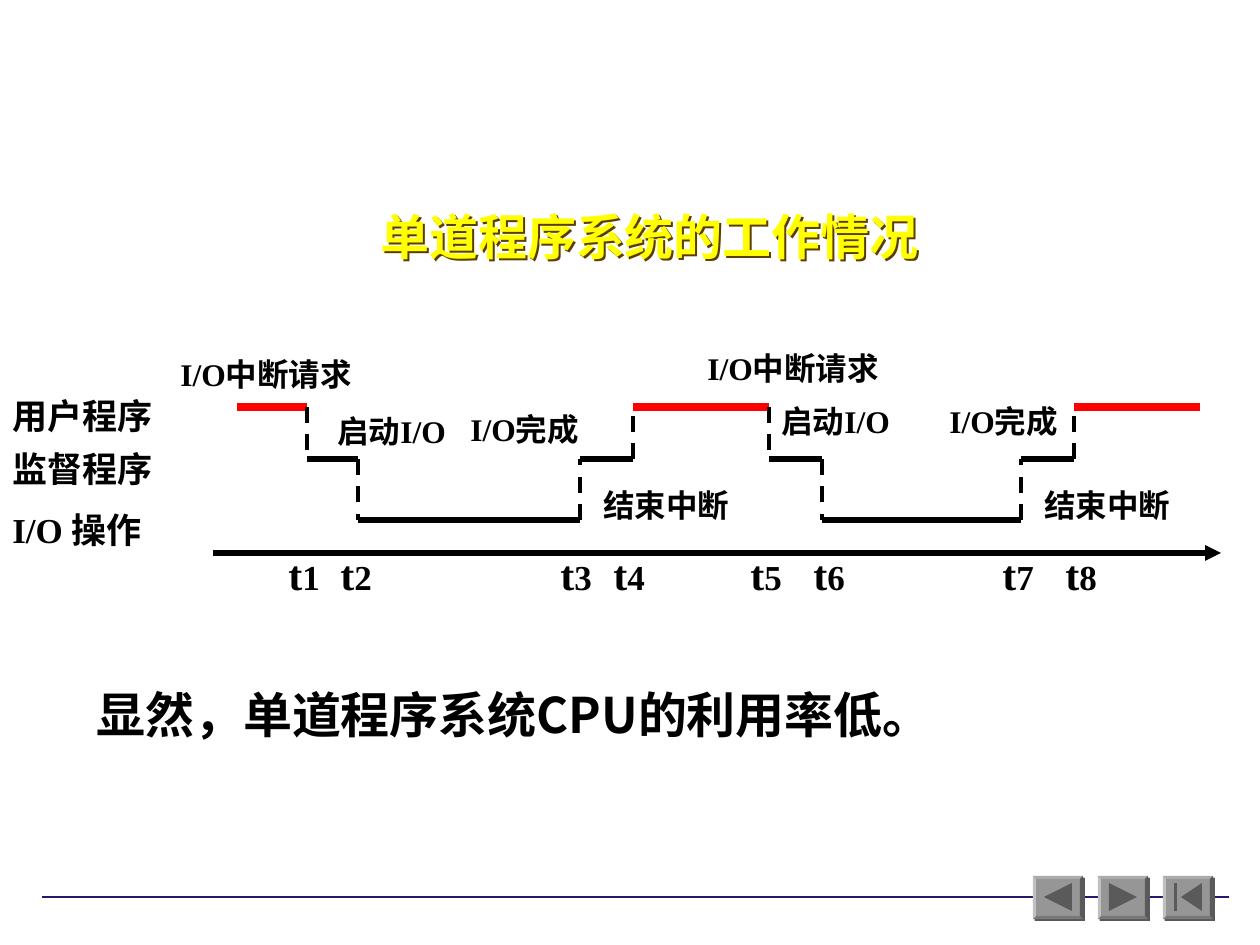
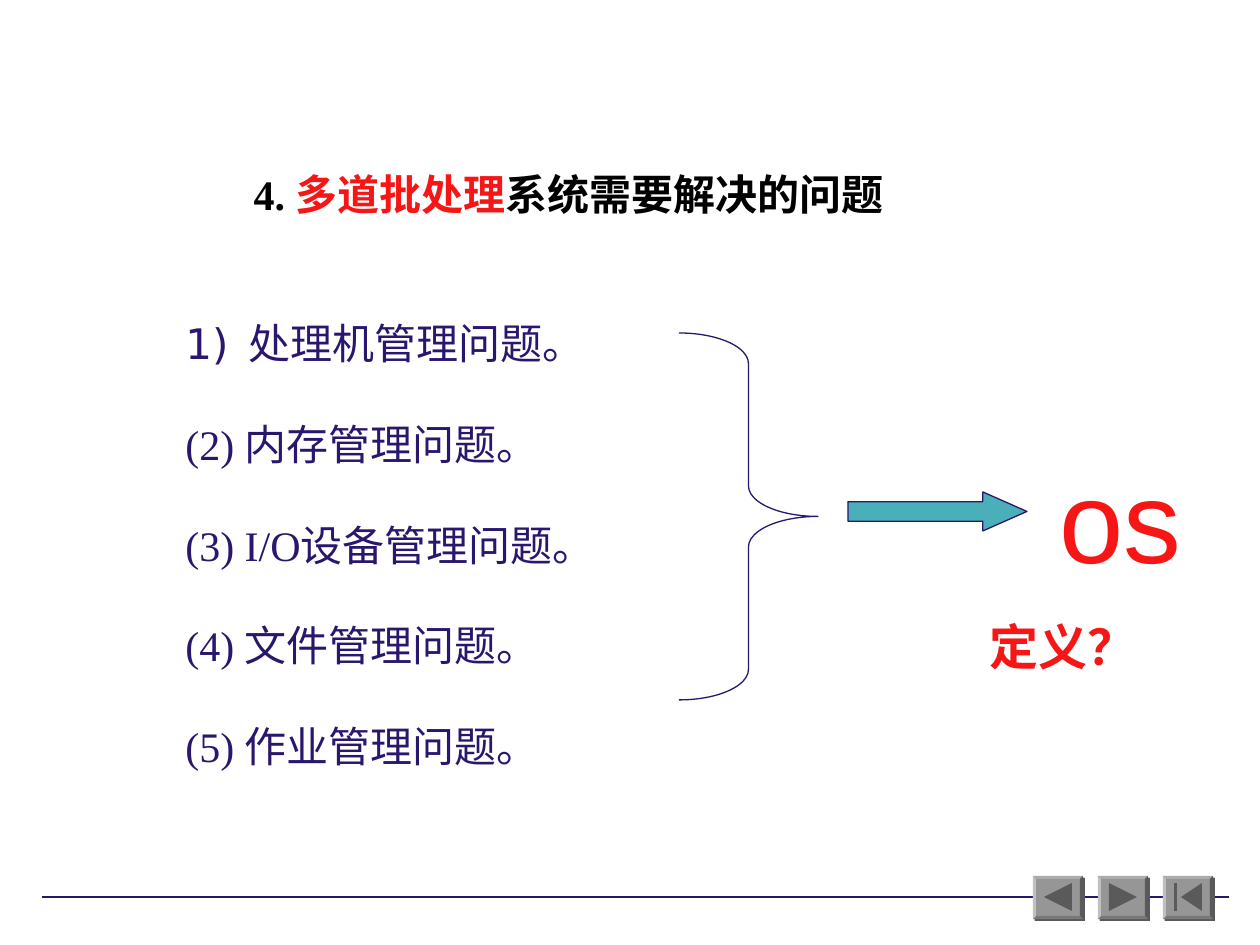
from itertools import pairwise

from lxml.etree import SubElement
from pptx import Presentation
from pptx.dml.color import RGBColor
from pptx.enum.dml import MSO_LINE
from pptx.enum.shapes import MSO_CONNECTOR, MSO_SHAPE
from pptx.enum.text import MSO_ANCHOR, MSO_AUTO_SIZE, PP_ALIGN
from pptx.oxml.ns import qn
from pptx.util import Pt

SCALE = 914400 / 126
BLACK = RGBColor(0x00, 0x00, 0x00)
RED = RGBColor(0xFF, 0x00, 0x00)
SCARLET = RGBColor(0xF6, 0x16, 0x16)
YELLOW = RGBColor(0xFF, 0xFF, 0x00)
BROWN = RGBColor(0x5C, 0x3D, 0x00)
NAVY = RGBColor(0x2B, 0x16, 0x6E)
TEAL = RGBColor(0x4B, 0xAF, 0xB9)
FACE = RGBColor(0x96, 0x96, 0x96)
SHADE = RGBColor(0x59, 0x59, 0x59)
SERIF = "Times New Roman"
SANS = "DejaVu Sans"
CJK = "Noto Sans CJK SC"


def px(size):
    """Turn pixels into EMU."""
    return round(size * SCALE)


def style(font, size, color, bold=True, name=SERIF):
    """Apply one set of format values to a font."""
    for key, value in {"size": Pt(size), "bold": bold, "name": name}.items():
        setattr(font, key, value)
    font.color.rgb = color


def write(frame, rows, size, color=BLACK, bold=True, name=SERIF, align=PP_ALIGN.LEFT):
    """Fill a frame with rows of (text, changes) runs."""
    values = {
        "word_wrap": True, "auto_size": MSO_AUTO_SIZE.NONE, "vertical_anchor": MSO_ANCHOR.TOP,
        "margin_left": Pt(7.2), "margin_right": Pt(7.2), "margin_top": Pt(3.6), "margin_bottom": Pt(3.6),
    }
    for key, value in values.items():
        setattr(frame, key, value)
    for i, row in enumerate(rows):
        para = frame.add_paragraph() if i else frame.paragraphs[0]
        para.alignment = align
        para.space_before = Pt(0)
        for text, change in row:
            run = para.add_run()
            run.text = text
            style(run.font, **({"size": size, "color": color, "bold": bold, "name": name} | change))
            SubElement(run.font._element, qn("a:ea"), typeface=SANS)
    return frame


def label(slide, box, rows, size, **more):
    """Add a text box."""
    if isinstance(rows, str):
        rows = [[(rows, {})]]
    return write(slide.shapes.add_textbox(*map(px, box)).text_frame, rows, size, **more)


def head(slide, box, row, size, **more):
    """Place and fill the title."""
    title = slide.shapes.title
    for key, value in zip(("left", "top", "width", "height"), box):
        setattr(title, key, px(value))
    write(title.text_frame, [row], size, **more)
    return title


def cast(shape, color, dist):
    """Give a shape a hard shadow to the lower right."""
    shape.shadow.inherit = False
    glow = shape._element.spPr.find(qn("a:effectLst"))
    shade = SubElement(glow, qn("a:outerShdw"), dist=str(Pt(dist)), dir="2700000")
    SubElement(shade, qn("a:srgbClr"), val=str(color))


def line(slide, start, end, color, width, dash=False, arrow=False):
    """Add a straight line."""
    link = slide.shapes.add_connector(MSO_CONNECTOR.STRAIGHT, *map(px, (*start, *end)))
    link.line.color.rgb = color
    link.line.width = Pt(width)
    if dash:
        link.line.dash_style = MSO_LINE.DASH
    if arrow:
        SubElement(link.line._get_or_add_ln(), qn("a:tailEnd"), type="triangle")
    SubElement(link._element.spPr, qn("a:effectLst"))


def paint(shape, fill=None, edge=None):
    """Set fill and outline and drop the shadow."""
    shape.shadow.inherit = False
    if fill is None:
        shape.fill.background()
    else:
        shape.fill.solid()
        shape.fill.fore_color.rgb = fill
    if edge is None:
        shape.line.fill.background()
    else:
        shape.line.color.rgb = edge
        shape.line.width = Pt(0.75)


def split(shape, tones):
    """Turn each contour of an outline into a path with its own tone."""
    path = next(shape._element.iter(qn("a:path")))
    tones = iter(tones)
    for part in list(path):
        if part.tag == qn("a:moveTo"):
            size = {"w": path.get("w"), "h": path.get("h")}
            piece = SubElement(path.getparent(), qn("a:path"), fill=next(tones), stroke="0", **size)
        piece.append(part)
    path.getparent().remove(path)


def button(slide, left, top, icons):
    """Draw a bevelled button with its icon as one outline."""
    w, h, d = 50, 43, 3
    outer = [(0, 0), (w, 0), (w, h), (0, h)]
    inner = [(d, d), (w - d, d), (w - d, h - d), (d, h - d)]
    parts = [outer]
    for i in range(4):
        j = (i + 1) % 4
        parts.append([outer[i], outer[j], inner[j], inner[i]])
    pen = slide.shapes.build_freeform(px(left), px(top))
    for k, part in enumerate(parts + icons):
        spots = [(px(left + x), px(top + y)) for x, y in part]
        if k:
            pen.move_to(*spots[0])
        pen.add_line_segments(spots[1:])
    shape = pen.convert_to_shape()
    paint(shape, FACE)
    split(shape, ["norm", "lightenLess", "darken", "darkenLess", "lighten"] + ["darken"] * len(icons))
    cast(shape, SHADE, 1.4)


def foot(slide, box):
    """Draw the rule and the three buttons."""
    left, top, width = box
    line(slide, (left, top + 21), (left + width, top + 21), NAVY, 0.75)
    back = [(11, 21), (39, 7), (39, 35)]
    ahead = [(11, 7), (39, 21), (11, 35)]
    first = [(18, 21), (39, 7), (39, 35)]
    bar = [(11, 7), (14, 7), (14, 35), (11, 35)]
    for i, icons in enumerate(([back], [ahead], [first, bar])):
        button(slide, left + 991 + 65 * i, top, icons)


def chart(slide, left, top):
    """Draw the timing diagram from its top left corner."""
    user, watch, work = 67, 119, 180
    stops = [237, 307, 358, 580, 633, 769, 822, 1021, 1074, 1200]
    levels = [user, watch, work, watch, user, watch, work, watch, user]
    line(slide, (left + 213, top + 213), (left + 1221, top + 213), BLACK, 3, arrow=True)
    for y, (x, end) in zip(levels, pairwise(stops)):
        tone, width = (RED, 4.5) if y == user else (BLACK, 3)
        line(slide, (left + x, top + y), (left + end, top + y), tone, width)
    for x, (y, end) in zip(stops[1:], pairwise(levels)):
        line(slide, (left + x, top + y), (left + x, top + end), BLACK, 2.25, dash=True)

    names = [[(name, {})] for name in ("用户程序", "监督程序", "I/O 操作")]
    frame = label(slide, (left, top + 38, 175, 179), names, 20)
    for para, space in zip(frame.paragraphs, (1.25, 1.25, 1.45)):
        para.line_spacing = space

    ask, start, done, finish = "I/O中断请求", "启动I/O", "I/O完成", "结束中断"
    notes = [
        (168, 9, ask), (325, 66, start), (458, 64, done), (591, 140, finish),
        (695, 3, ask), (769, 56, start), (937, 56, done), (1032, 140, finish),
    ]
    for x, y, text in notes:
        label(slide, (left + x, top + y, 222 if text == ask else 168, 50), text, 18)
    for i, x in enumerate((276, 328, 548, 601, 738, 801, 990, 1053), 1):
        label(slide, (left + x, top + 202, 70, 63), [[("t", {}), (str(i), {"size": 20})]], 24)


def single(slide):
    """Build the slide on the single-program system."""
    title = head(slide, (265, 200, 769, 87), [("单道程序系统的工作情况", {})], 28,
                 color=YELLOW, name=SANS, align=PP_ALIGN.CENTER)
    cast(title, BROWN, 1.6)
    chart(slide, 0, 340)
    frame = label(slide, (84, 678, 879, 72), "显然，单道程序系统CPU的利用率低。", 28,
                  name=CJK, align=PP_ALIGN.JUSTIFY)
    frame.paragraphs[0]._p.get_or_add_pPr().set("hangingPunct", "0")


def issues(slide, box):
    """List the problems, the first one numbered."""
    texts = ["处理机管理问题。", "(2) 内存管理问题。", "(3) I/O设备管理问题。",
             "(4) 文件管理问题。", "(5) 作业管理问题。"]
    frame = label(slide, box, [[(text, {})] for text in texts], 24, color=NAVY, bold=False)
    for para in frame.paragraphs:
        para.line_spacing = 2.0
        props = para._p.get_or_add_pPr()
        props.set("marL", str(px(63)))
        props.set("indent", str(px(-63)))
    props = frame.paragraphs[0]._p.pPr
    SubElement(SubElement(props, qn("a:buClr")), qn("a:srgbClr"), val=str(NAVY))
    SubElement(props, qn("a:buFont"), typeface=CJK)
    SubElement(props, qn("a:buAutoNum"), type="arabicParenR")


def answer(slide, left, top):
    """Draw the brace, the arrow and the conclusion."""
    brace = slide.shapes.add_shape(MSO_SHAPE.RIGHT_BRACE, *map(px, (left, top, 139, 367)))
    brace.adjustments[0] = 0.22
    paint(brace, edge=NAVY)
    arrow = slide.shapes.add_shape(MSO_SHAPE.RIGHT_ARROW, *map(px, (left + 169, top + 159, 179, 39)))
    arrow.adjustments[1] = 1.13
    paint(arrow, TEAL, NAVY)
    label(slide, (left + 368, top + 109, 179, 151), "os", 66, color=SCARLET, bold=False, name="Arial")
    label(slide, (left + 298, top + 277, 218, 72), "定义？", 28, color=SCARLET)


def multi(slide):
    """Build the slide on the multi-program problems."""
    row = [("4. ", {}), ("多道批处理", {"color": SCARLET}), ("系统需要解决的问题", {})]
    head(slide, (241, 162, 690, 63), row, 24)
    issues(slide, (173, 261, 591, 517))
    answer(slide, 679, 333)


def main():
    """Build and save the slides."""
    deck = Presentation()
    deck.slide_width, deck.slide_height = px(1260), px(945)
    for build in (single, multi):
        slide = deck.slides.add_slide(deck.slide_layouts[5])
        foot(slide, (42, 876, 1187))
        build(slide)
    deck.save("out.pptx")


if __name__ == "__main__":
    main()
